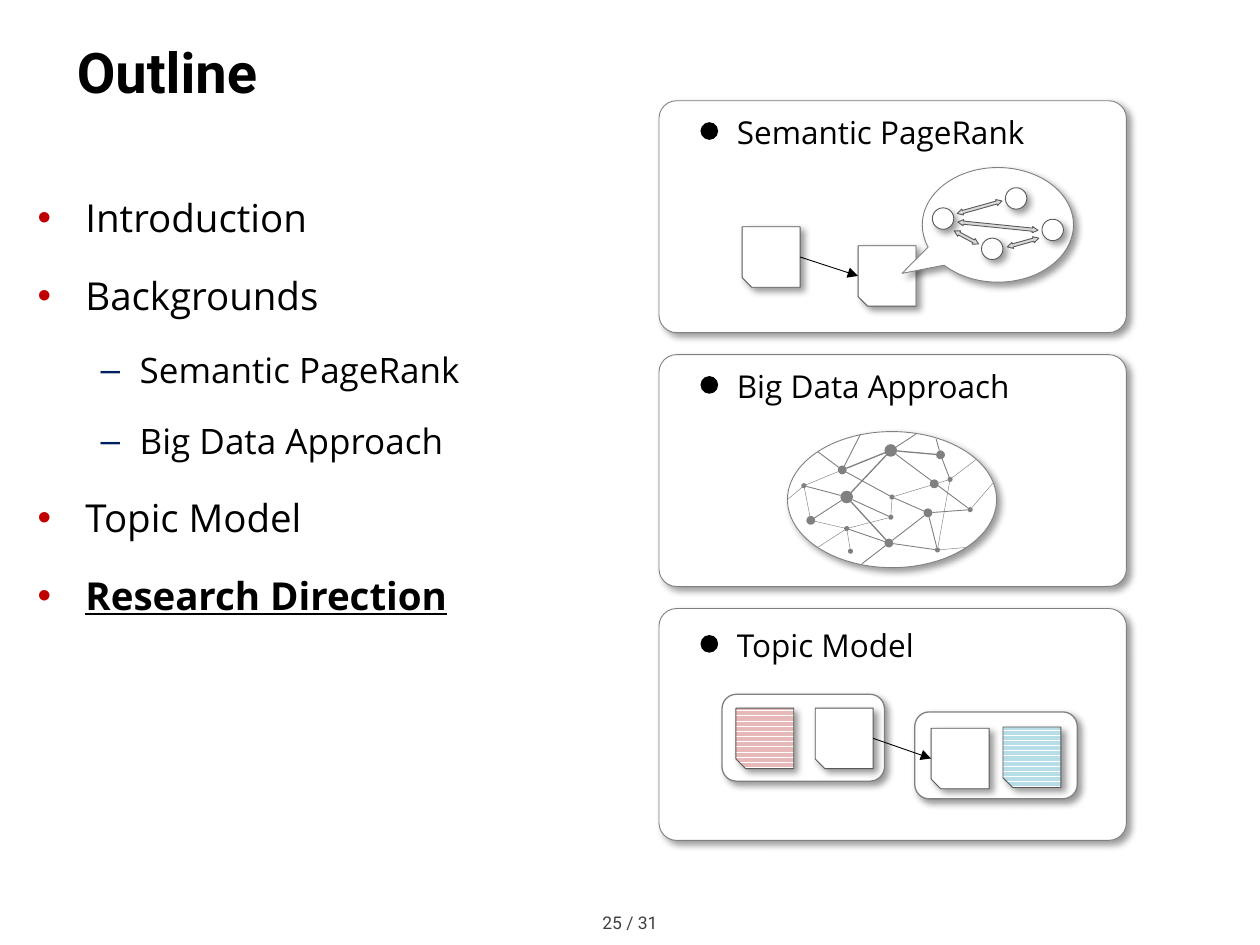
from math import hypot

from lxml.etree import SubElement
from pptx import Presentation
from pptx.dml.color import RGBColor
from pptx.enum.dml import MSO_PATTERN
from pptx.enum.shapes import MSO_CONNECTOR, MSO_SHAPE as SHAPE
from pptx.enum.text import MSO_ANCHOR, MSO_AUTO_SIZE, PP_ALIGN
from pptx.oxml.ns import qn
from pptx.util import Inches, Pt

COLORS = {
    "black": "000000", "white": "FFFFFF", "frame": "808080", "edge": "595959",
    "arrow": "D9D9D9", "number": "404040", "red": "C00000", "navy": "002060",
    "pink": "E6B9B8", "cyan": "B7DEE8",
}
DOC_W, DOC_H = 0.46, 0.48
PANEL_W, PANEL_H = 3.71, 1.84

OUTLINE = [
    ("Introduction", 0, False), ("Backgrounds", 0, False),
    ("Semantic PageRank", 1, False), ("Big Data Approach", 1, False),
    ("Topic Model", 0, False), ("Research Direction", 0, True),
]
LEVELS = [("•", "red", 0.38, 0.38, 22), ("–", "navy", 0.81, 0.31, 20)]

NODES = {
    "a": (0.435, 0.305, 0.07), "b": (0.47, 0.77, 0.04), "c": (0.83, 0.52, 0.04),
    "d": (1.19, 0.94, 0.04), "e": (1.29, 0.38, 0.04), "f": (1.45, 0.62, 0.04),
    "g": (0.805, 0.885, 0.07), "h": (0.47, 0.52, 0.1), "i": (1.215, 0.185, 0.07),
    "j": (1.115, 0.645, 0.07), "k": (0.13, 0.43, 0.04), "l": (0.82, 0.15, 0.1),
    "m": (0.82, 0.68, 0.04), "n": (0.5, 0.95, 0.04), "o": (0.185, 0.705, 0.07),
    "p": (1.165, 0.415, 0.07),
}
EDGES = {
    0.75: "lh li la gh",
    0.5: "ca fl jg gb dg jd jc ie fj hm ho hk",
    0.25: "ak ec cm mb ko ob ed bn",
}
RIM_EDGES = [
    ("a", 0.24, 0.16, 0.5), ("a", 0.58, 0.02, 0.5), ("i", 1.18, 0.06, 0.5),
    ("l", 1.02, 0.02, 0.5), ("e", 1.5, 0.22, 0.25), ("b", 0.24, 0.92, 0.25),
    ("k", 0, 0.54, 0.25), ("d", 1.42, 0.92, 0.25), ("g", 0.59, 1.05, 0.5),
    ("f", 1.63, 0.41, 0.25),
]


def rgb(name):
    return RGBColor.from_string(COLORS[name])


def style(font, size, face, color="black"):
    font.size, font.name = Pt(size), face
    font.color.rgb = rgb(color)


def add_shadow(shape):
    effects = shape._element.spPr.find(qn("a:effectLst"))
    outer = SubElement(effects, qn("a:outerShdw"), blurRad=str(Pt(4)),
                       dist=str(Pt(3)), dir="2700000", algn="tl", rotWithShape="0")
    color = SubElement(outer, qn("a:srgbClr"), val=COLORS["black"])
    SubElement(color, qn("a:alpha"), val="40000")


def add_part(slide, kind, x, y, w, h, fill="white", line="edge", weight=0.5,
             shadow=True, adjust=()):
    part = slide.shapes.add_shape(kind, Inches(x), Inches(y), Inches(w), Inches(h))
    part.fill.solid()
    part.fill.fore_color.rgb = rgb(fill)
    if line:
        part.line.color.rgb = rgb(line)
        part.line.width = Pt(weight)
    else:
        part.line.fill.background()
    for index, value in enumerate(adjust):
        part.adjustments[index] = value
    part.shadow.inherit = False
    if shadow:
        add_shadow(part)
    return part


def add_line(slide, x1, y1, x2, y2, color, weight, arrow=False):
    line = slide.shapes.add_connector(MSO_CONNECTOR.STRAIGHT, Inches(x1), Inches(y1),
                                      Inches(x2), Inches(y2))
    line.line.color.rgb = rgb(color)
    line.line.width = Pt(weight)
    if arrow:
        SubElement(line.line._get_or_add_ln(), qn("a:tailEnd"), type="triangle")
    SubElement(line._element.spPr, qn("a:effectLst"))


def add_text_frame(slide, x, y, w, h):
    frame = slide.shapes.add_textbox(Inches(x), Inches(y), Inches(w), Inches(h)).text_frame
    frame.word_wrap = True
    return frame


def add_document(slide, x, y, stripes=None):
    document = add_part(slide, SHAPE.SNIP_1_RECTANGLE, x, y, DOC_W, DOC_H)
    document.rotation = 180
    if stripes:
        document.fill.patterned()
        document.fill.pattern = MSO_PATTERN.DARK_HORIZONTAL
        document.fill.fore_color.rgb = rgb(stripes)
        document.fill.back_color.rgb = rgb("white")


def link_documents(slide, source, target):
    add_line(slide, source[0] + DOC_W, source[1] + DOC_H / 2,
             target[0], target[1] + DOC_H / 2, "black", 0.5, arrow=True)


def add_title(slide, x, y, w, h):
    title = slide.shapes.title
    title.left, title.top, title.width, title.height = map(Inches, (x, y, w, h))
    frame = title.text_frame
    frame.text = "Outline"
    frame.auto_size = MSO_AUTO_SIZE.NONE
    frame.vertical_anchor = MSO_ANCHOR.MIDDLE
    heading = frame.paragraphs[0]
    heading.alignment = PP_ALIGN.LEFT
    style(heading.font, 32, "Roboto")
    heading.font.bold = True


def add_outline(slide, x, y, w, h):
    frame = add_text_frame(slide, x, y, w, h)
    for index, (text, level, current) in enumerate(OUTLINE):
        item = frame.add_paragraph() if index else frame.paragraphs[0]
        mark, color, margin, hanging, size = LEVELS[level]
        item.text, item.level = text, level
        props = item._p.get_or_add_pPr()
        props.set("marL", str(Inches(margin)))
        props.set("indent", str(-Inches(hanging)))
        SubElement(SubElement(props, qn("a:buClr")), qn("a:srgbClr"), val=COLORS[color])
        SubElement(props, qn("a:buFont"), typeface="Arial")
        SubElement(props, qn("a:buChar"), char=mark)
        item.line_spacing, item.space_after = 1.5, Pt(5)
        style(item.font, size, "Open Sans")
        if current:
            item.font.bold = item.font.underline = True


def add_panel(slide, x, y, heading, drop=0):
    add_part(slide, SHAPE.ROUNDED_RECTANGLE, x, y, PANEL_W, PANEL_H, line="frame",
             adjust=[0.076])
    add_part(slide, SHAPE.OVAL, x + 0.33, y + 0.17 + drop, 0.14, 0.14, "black", None,
             shadow=False)
    label = add_text_frame(slide, x + 0.52, y + drop, 2.87, 0.45).paragraphs[0]
    label.text = heading
    label.line_spacing = Pt(25)
    style(label.font, 18, "Open Sans")


def add_callout(slide, x, y):
    add_part(slide, SHAPE.OVAL_CALLOUT, x, y, 1.2, 0.91, line="frame",
             adjust=[-0.634, 0.423])
    for dx, dy in [(0.66, 0.16), (0.47, 0.56), (0.95, 0.41), (0.08, 0.32)]:
        add_part(slide, SHAPE.OVAL, x + dx, y + dy, 0.17, 0.17)
    for dx, dy, length, angle in [(0.27, 0.29, 0.37, 344.4), (0.24, 0.53, 0.22, 28.2),
                                  (0.28, 0.44, 0.64, 5.8), (0.67, 0.57, 0.26, 344.5)]:
        relation = add_part(slide, SHAPE.LEFT_RIGHT_ARROW, x + dx, y + dy, length, 0.05,
                            "arrow", shadow=False, adjust=[0.5, 0.9])
        relation.rotation = angle


def add_semantic_panel(slide, x, y):
    add_panel(slide, x, y, "Semantic PageRank")
    source, target = (x + 0.66, y + 1), (x + 1.58, y + 1.15)
    add_document(slide, *target)
    add_document(slide, *source)
    link_documents(slide, source, target)
    add_callout(slide, x + 2.09, y + 0.53)


def add_network(slide, x, y):
    add_part(slide, SHAPE.OVAL, x, y, 1.66, 1.08, line="frame")
    edges = [(NODES[a], NODES[b], weight)
             for weight, pairs in EDGES.items() for a, b in pairs.split()]
    edges += [(NODES[node], (dx, dy, 0), weight) for node, dx, dy, weight in RIM_EDGES]
    for (x1, y1, d1), (x2, y2, d2), weight in edges:
        length = hypot(x2 - x1, y2 - y1)
        ux, uy = (x2 - x1) / length, (y2 - y1) / length
        add_line(slide, x + x1 + ux * d1 / 2, y + y1 + uy * d1 / 2,
                 x + x2 - ux * d2 / 2, y + y2 - uy * d2 / 2, "frame", weight)
    for cx, cy, size in NODES.values():
        add_part(slide, SHAPE.OVAL, x + cx - size / 2, y + cy - size / 2, size, size,
                 "frame", None, shadow=False)


def add_big_data_panel(slide, x, y):
    add_panel(slide, x, y, "Big Data Approach")
    add_network(slide, x + 1.02, y + 0.61)


def add_topic_panel(slide, x, y):
    add_panel(slide, x, y, "Topic Model", drop=0.04)
    source, target = (x + 1.24, y + 0.79), (x + 2.16, y + 0.95)
    for dx, dy in [(0.5, 0.68), (2.03, 0.82)]:
        add_part(slide, SHAPE.ROUNDED_RECTANGLE, x + dx, y + dy, 1.29, 0.69,
                 line="frame", weight=0.75)
    add_document(slide, x + 0.61, y + 0.79, "pink")
    add_document(slide, x + 2.73, y + 0.94, "cyan")
    add_document(slide, *target)
    add_document(slide, *source)
    link_documents(slide, source, target)


def add_page_number(slide, x, y, w, h):
    frame = add_text_frame(slide, x, y, w, h)
    number = frame.paragraphs[0]
    number.text = "25 / 31"
    number.alignment = PP_ALIGN.CENTER
    style(number.font, 10, "Roboto", "number")


def main():
    deck = Presentation()
    deck.slide_width, deck.slide_height = Inches(10), Inches(7.5)
    slide = deck.slides.add_slide(deck.slide_layouts[5])
    add_page_number(slide, 0, 7.19, 10, 0.27)
    add_title(slide, 0.51, 0.13, 9.29, 0.87)
    add_outline(slide, 0.2, 1.31, 9.61, 5.83)
    panels = [add_semantic_panel, add_big_data_panel, add_topic_panel]
    for row, draw_panel in enumerate(panels):
        draw_panel(slide, 5.23, 0.8 + 2.015 * row)
    deck.save("out.pptx")


if __name__ == "__main__":
    main()
